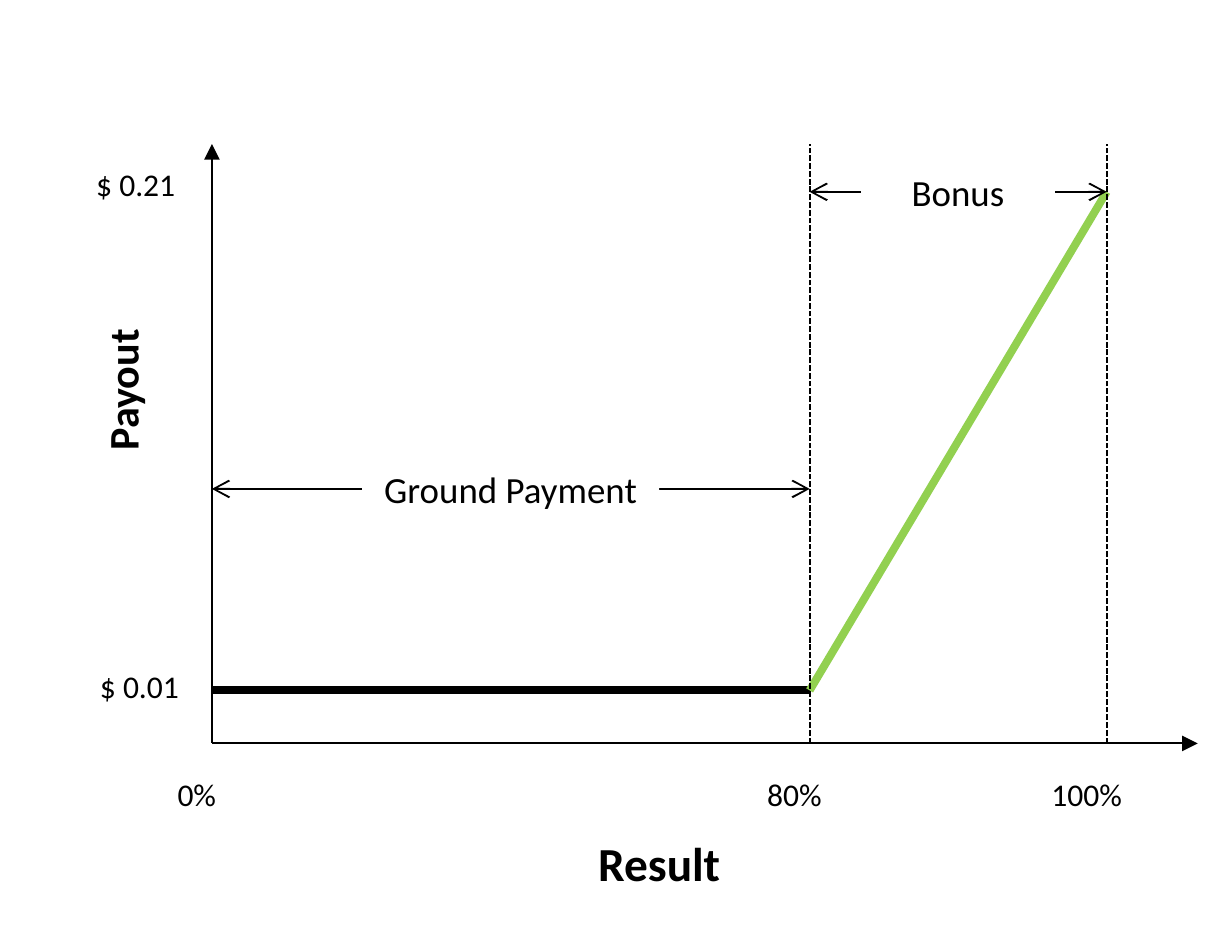
"""Draw the payout curve with its ground payment and bonus ranges."""
from dataclasses import dataclass

from lxml import etree
from pptx import Presentation
from pptx import util as u
from pptx.dml.color import RGBColor
from pptx.enum import dml, shapes, text
from pptx.oxml import ns


@dataclass(frozen=True)
class Theme:
    font: str = "Calibri"
    ink: str = "000000"
    paper: str = "FFFFFF"
    gain: str = "92D050"
    small: int = 12
    label: int = 14
    side: int = 16
    head: int = 18
    thin: float = 0.75
    thick: float = 3


def write(frame, words, size, font, color, bold=False, center=False):
    frame.word_wrap = True
    para = frame.paragraphs[0]
    para.alignment = text.PP_ALIGN.CENTER if center else text.PP_ALIGN.LEFT
    run = para.add_run()
    run.text = words
    run.font.size = u.Pt(size)
    run.font.name = font
    run.font.bold = bold
    run.font.color.rgb = RGBColor.from_string(color)


class Sketch:
    def __init__(self, slide, theme):
        self.theme = theme
        self.slide = slide
        self.group = slide.shapes.add_group_shape()

    def line(self, start, end, color=None, width=None, dash=False, **tips):
        ends = [u.Cm(n) for n in (*start, *end)]
        item = self.group.shapes.add_connector(shapes.MSO_CONNECTOR.STRAIGHT, *ends)
        item.line.color.rgb = RGBColor.from_string(color or self.theme.ink)
        item.line.width = u.Pt(width or self.theme.thin)
        if dash:
            item.line.dash_style = dml.MSO_LINE.SQUARE_DOT
        props = item._element.spPr
        edge = props.find(ns.qn("a:ln"))
        for tip in ("headEnd", "tailEnd"):
            if tip in tips:
                etree.SubElement(edge, ns.qn("a:" + tip), type=tips[tip])
        etree.SubElement(props, ns.qn("a:effectLst"))

    def note(self, words, box, size, turn=0, **form):
        item = self.group.shapes.add_textbox(*[u.Cm(n) for n in box])
        item.rotation = turn
        write(item.text_frame, words, size, self.theme.font, self.theme.ink, **form)

    def span(self, words, left, right, y, width):
        self.line((left, y), (right, y), headEnd="arrow", tailEnd="arrow")
        tall = 0.86
        box = [u.Cm(n) for n in ((left + right - width) / 2, y - tall / 2, width, tall)]
        item = self.group.shapes.add_shape(shapes.MSO_SHAPE.RECTANGLE, *box)
        item.shadow.inherit = False
        item.fill.solid()
        item.fill.fore_color.rgb = RGBColor.from_string(self.theme.paper)
        item.line.fill.background()
        item.text_frame.vertical_anchor = text.MSO_ANCHOR.MIDDLE
        write(item.text_frame, words, self.theme.label, self.theme.font,
              self.theme.ink, center=True)


deck = Presentation()
deck.slide_width, deck.slide_height = u.Cm(16.51), u.Cm(12.5)
theme = Theme()
plot = Sketch(deck.slides.add_slide(deck.slide_layouts[6]), theme)

zero, goal, full, edge = 2.84, 10.85, 14.83, 16.05
top, peak, mid, floor, base = 1.93, 2.57, 6.55, 9.25, 9.96

plot.line((zero, top), (zero, base), headEnd="triangle")
plot.line((edge, base), (zero, base), headEnd="triangle")
plot.line((zero, floor), (goal, floor), width=theme.thick)
plot.line((goal, floor), (full, peak), theme.gain, theme.thick)
for x in (goal, full):
    plot.line((x, base), (x, top), dash=True)

plot.span("Ground Payment", zero, goal, mid, 3.98)
plot.span("Bonus", goal, full, peak, 2.6)

for words, x, width in (("0%", 2.13, 1.4), ("80%", 10.03, 2), ("100%", 13.84, 2.67)):
    plot.note(words, (x, 10.26, width, 1), theme.small)
for words, x, y in (("$ 0.01", 1.09, 8.81), ("$ 0.21", 1.04, 2.08)):
    plot.note(words, (x, y, 2.4, 0.77), theme.small)

plot.note("Result", (zero, 11.05, full - zero, 1), theme.head, bold=True, center=True)
plot.note("Payout", (-3.1, 4.75, 9.48, 0.94), theme.side, 270, bold=True, center=True)

deck.save("out.pptx")
